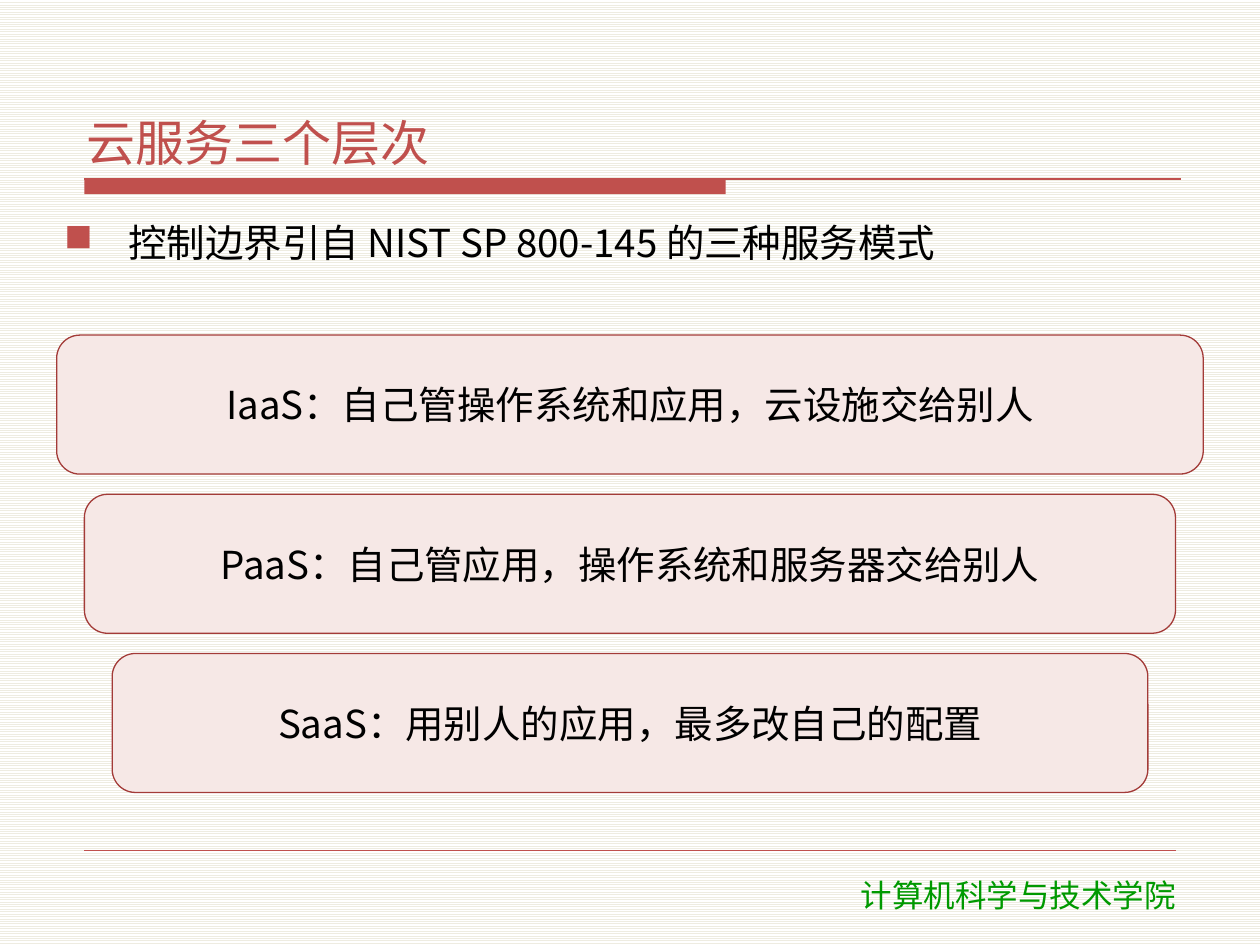
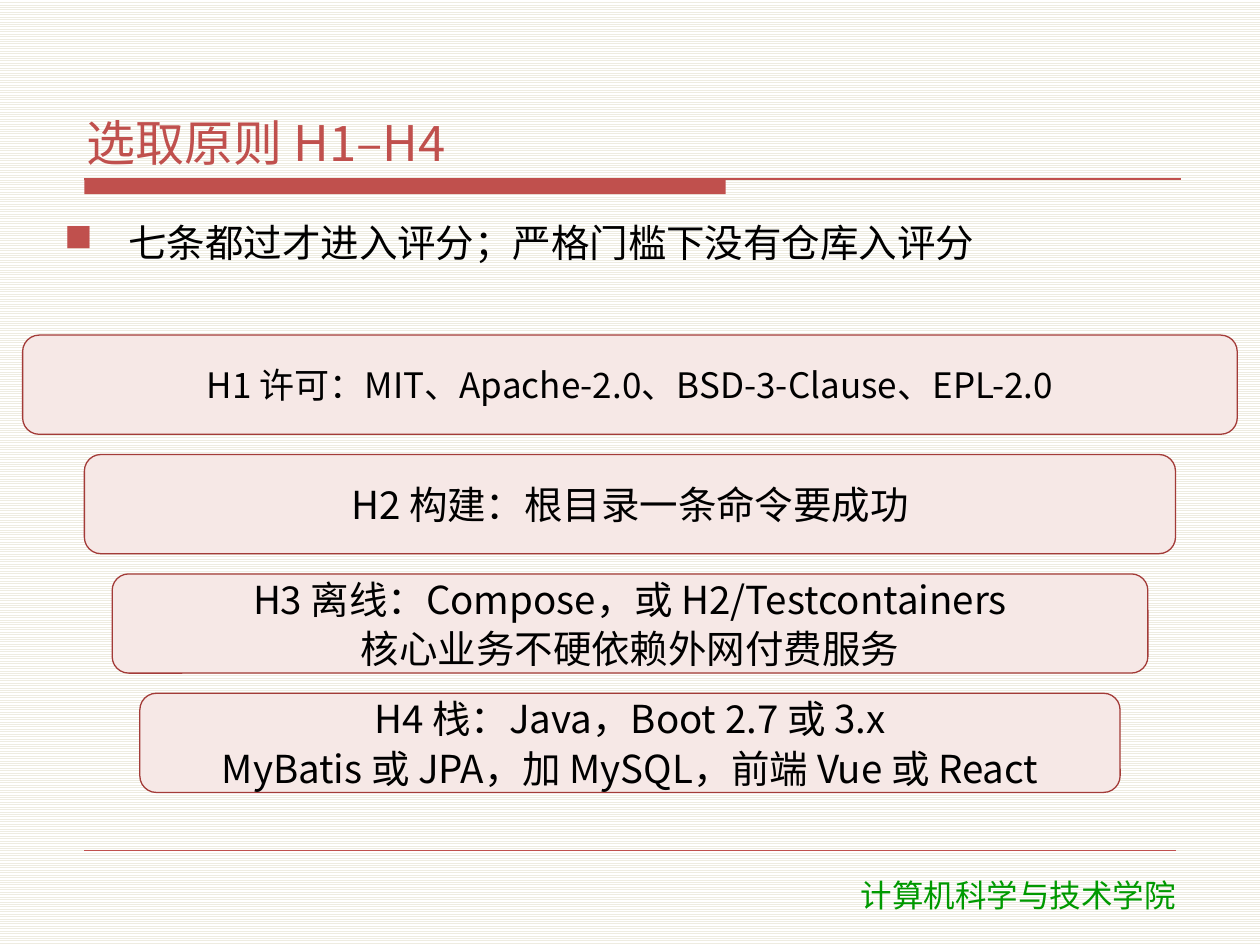
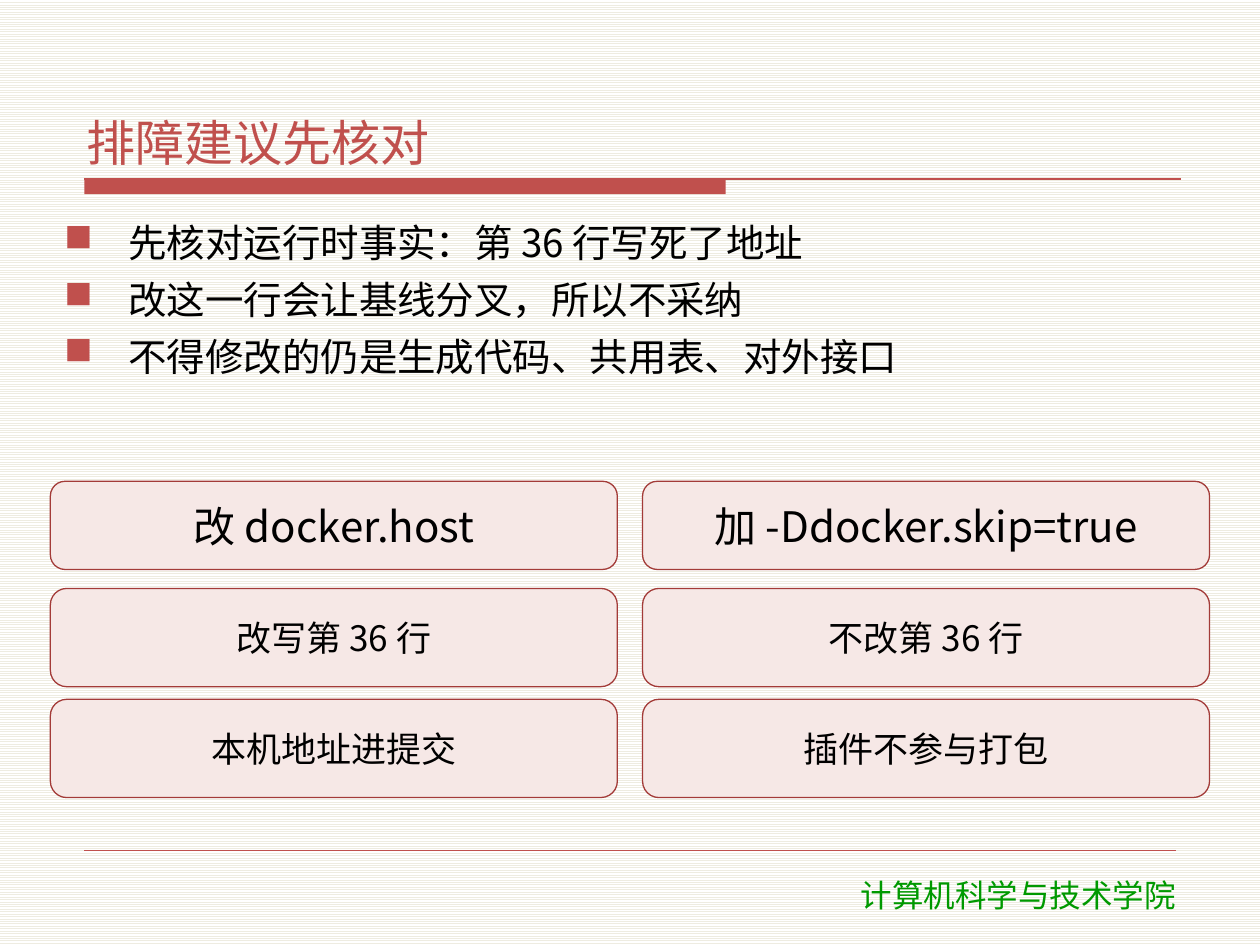
from lxml import etree
from pptx import Presentation
from pptx.dml.color import RGBColor
from pptx.enum.dml import MSO_PATTERN
from pptx.enum.shapes import MSO_CONNECTOR, MSO_SHAPE
from pptx.enum.text import MSO_ANCHOR, PP_ALIGN
from pptx.oxml.ns import qn
from pptx.util import Inches, Pt

STRIPES = MSO_PATTERN.LIGHT_HORIZONTAL
STRAIGHT = MSO_CONNECTOR.STRAIGHT
RECTANGLE, ROUNDED = MSO_SHAPE.RECTANGLE, MSO_SHAPE.ROUNDED_RECTANGLE
TOP, MIDDLE, BOTTOM = MSO_ANCHOR.TOP, MSO_ANCHOR.MIDDLE, MSO_ANCHOR.BOTTOM
LEFT, CENTER = PP_ALIGN.LEFT, PP_ALIGN.CENTER

RED = RGBColor(0xC0, 0x50, 0x4D)
DARK_RED = RGBColor(0xA3, 0x3B, 0x38)
PINK = RGBColor(0xF6, 0xE8, 0xE6)
GREEN = RGBColor(0x00, 0x99, 0x00)
BLACK = RGBColor(0x00, 0x00, 0x00)
WHITE = RGBColor(0xFF, 0xFF, 0xFF)
CREAM = RGBColor(0xEE, 0xEC, 0xE1)

FONT = "Noto Sans CJK SC"
FOOTER_FONT = "DejaVu Sans"
FOOTER = "计算机科学与技术学院"
PAGE_WIDTH = 10

# A stack entry is (left edge, text size, lines); a grid row is (top, height, text size, cells).
PAGES = [
    {
        "title": "云服务三个层次",
        "bullets": ["控制边界引自 NIST SP 800-145 的三种服务模式"],
        "stack": [
            (0.45, 22, ["IaaS：自己管操作系统和应用，云设施交给别人"]),
            (0.67, 22, ["PaaS：自己管应用，操作系统和服务器交给别人"]),
            (0.89, 22, ["SaaS：用别人的应用，最多改自己的配置"]),
        ],
    },
    {
        "title": "选取原则 H1–H4",
        "bullets": ["七条都过才进入评分；严格门槛下没有仓库入评分"],
        "stack": [
            (0.18, 20, ["H1 许可：MIT、Apache-2.0、BSD-3-Clause、EPL-2.0"]),
            (0.67, 22, ["H2 构建：根目录一条命令要成功"]),
            (0.89, 22, ["H3 离线：Compose，或 H2/Testcontainers",
                        "核心业务不硬依赖外网付费服务"]),
            (1.11, 22, ["H4 栈：Java，Boot 2.7 或 3.x",
                        "MyBatis 或 JPA，加 MySQL，前端 Vue 或 React"]),
        ],
    },
    {
        "title": "排障建议先核对",
        "bullets": [
            "先核对运行时事实：第 36 行写死了地址",
            "改这一行会让基线分叉，所以不采纳",
            "不得修改的仍是生成代码、共用表、对外接口",
        ],
        "grid": [
            (3.82, 0.7, 24, ["改 docker.host", "加 -Ddocker.skip=true"]),
            (4.67, 0.78, 20, ["改写第 36 行", "不改第 36 行"]),
            (5.55, 0.78, 20, ["本机地址进提交", "插件不参与打包"]),
        ],
    },
]

STACK_TOP, STACK_BOTTOM, STACK_GAP = 2.66, 6.29, 0.16
GRID_LEFT, GRID_WIDTH, GRID_GAP = 0.4, 4.5, 0.2
BULLET_INDENT = Inches(0.51)


def add_bullet(para):
    properties = para._p.get_or_add_pPr()
    properties.set("marL", str(BULLET_INDENT))
    properties.set("indent", str(-BULLET_INDENT))
    color = etree.SubElement(properties, qn("a:buClr"))
    etree.SubElement(color, qn("a:srgbClr"), val=str(RED))
    etree.SubElement(properties, qn("a:buChar"), char="■")


def write(box, lines, size, color=BLACK, font=FONT, align=CENTER, anchor=MIDDLE,
          before=0, bullets=False):
    frame = box.text_frame
    frame.word_wrap = True
    frame.vertical_anchor = anchor
    frame.margin_left = frame.margin_right = Inches(0.06)
    frame.margin_top = frame.margin_bottom = Inches(0.02)
    for index, line in enumerate(lines):
        para = frame.add_paragraph() if index else frame.paragraphs[0]
        if bullets:
            add_bullet(para)
        para.alignment = align
        para.space_before = Pt(before if index else 0)
        para.space_after = Pt(2)
        span = para.add_run()
        span.text = line
        span.font.name = font
        span.font.size = Pt(size)
        span.font.color.rgb = color
        if font == FONT:
            etree.SubElement(span._r.get_or_add_rPr(), qn("a:ea"), typeface=font)


def add_text(page, left, top, width, height, lines, size, **style):
    box = page.shapes.add_textbox(Inches(left), Inches(top), Inches(width), Inches(height))
    write(box, lines, size, **style)


def add_card(page, left, top, width, height, lines, size):
    card = page.shapes.add_shape(ROUNDED, Inches(left), Inches(top),
                                 Inches(width), Inches(height))
    card.shadow.inherit = False
    card.fill.solid()
    card.fill.fore_color.rgb = PINK
    card.line.color.rgb = DARK_RED
    card.line.width = Pt(0.75)
    write(card, lines, size)


def add_rule(page, left, right, y, weight):
    rule = page.shapes.add_connector(STRAIGHT, Inches(left), Inches(y),
                                     Inches(right), Inches(y))
    rule.line.color.rgb = RED
    rule.line.width = Pt(weight)
    etree.SubElement(rule._element.spPr, qn("a:effectLst"))


def add_frame(page, title):
    """Draw the title, its band, and the footer that every slide carries."""
    band = page.shapes.add_shape(RECTANGLE, Inches(0.67), Inches(1.42),
                                 Inches(5.09), Inches(0.12))
    band.shadow.inherit = False
    band.fill.solid()
    band.fill.fore_color.rgb = RED
    band.line.fill.background()
    add_rule(page, 0.67, 9.37, 1.42, 0.75)
    add_rule(page, 0.67, 9.33, 6.75, 0.25)
    add_text(page, 6.16, 6.9, 3.84, 0.4, [FOOTER], 18, color=GREEN, font=FOOTER_FONT)
    add_text(page, 0.63, 0.33, 8.75, 1.05, [title], 28, color=RED, align=LEFT, anchor=BOTTOM)


def add_stack(page, cards):
    height = (STACK_BOTTOM - STACK_TOP + STACK_GAP) / len(cards) - STACK_GAP
    for index, (left, size, lines) in enumerate(cards):
        top = STACK_TOP + index * (height + STACK_GAP)
        add_card(page, left, top, PAGE_WIDTH - 2 * left, height, lines, size)


def add_grid(page, rows):
    for top, height, size, cells in rows:
        for column, text in enumerate(cells):
            left = GRID_LEFT + column * (GRID_WIDTH + GRID_GAP)
            add_card(page, left, top, GRID_WIDTH, height, [text], size)


def main():
    deck = Presentation()
    deck.slide_width, deck.slide_height = Inches(PAGE_WIDTH), Inches(7.5)
    backdrop = deck.slide_master.background.fill
    backdrop.patterned()
    backdrop.pattern = STRIPES
    backdrop.fore_color.rgb = CREAM
    backdrop.back_color.rgb = WHITE

    for content in PAGES:
        page = deck.slides.add_slide(deck.slide_layouts[6])
        add_frame(page, content["title"])
        body_height = 0.86 if "stack" in content else 2.02
        add_text(page, 0.45, 1.72, 9.1, body_height, content["bullets"], 22,
                 align=LEFT, anchor=TOP, before=4, bullets=True)
        add_stack(page, content.get("stack", [])) if "stack" in content else add_grid(
            page, content["grid"])
    deck.save("out.pptx")


if __name__ == "__main__":
    main()
